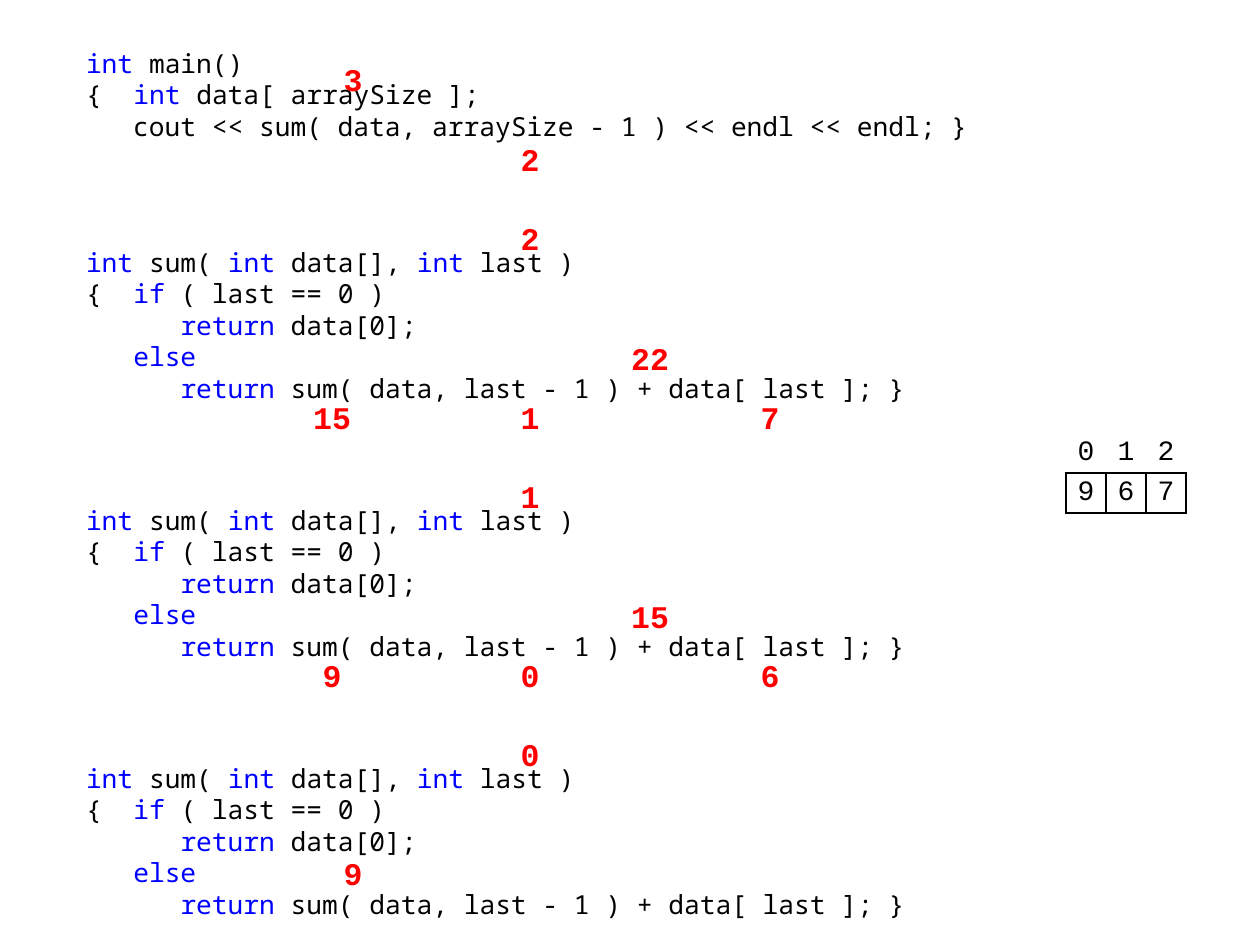
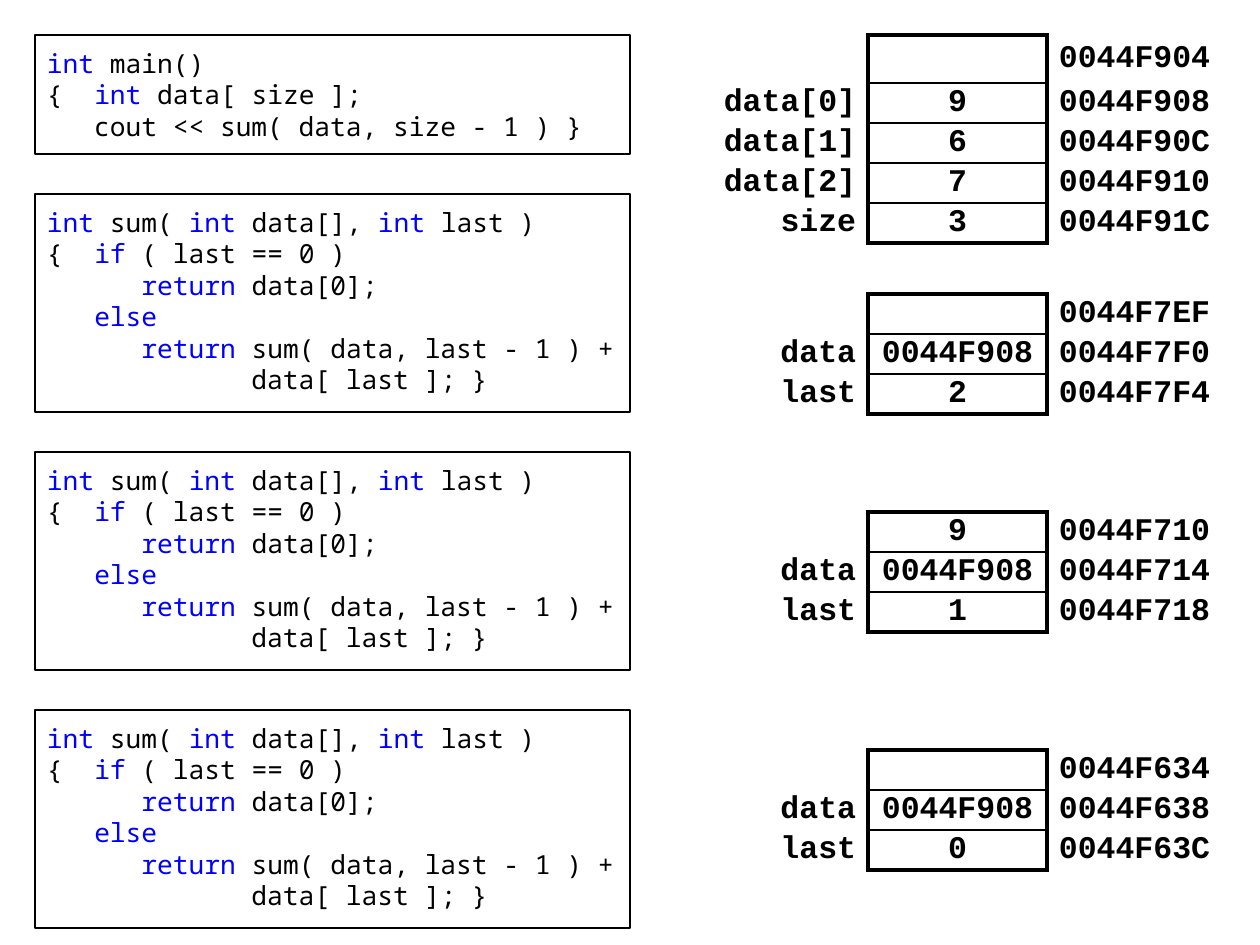
from dataclasses import dataclass

from lxml import etree
from pptx import Presentation
from pptx.dml.color import RGBColor
from pptx.enum.text import MSO_ANCHOR, PP_ALIGN
from pptx.oxml.ns import qn
from pptx.util import Emu, Pt

LEFT, MID, RIGHT = PP_ALIGN.LEFT, PP_ALIGN.CENTER, PP_ALIGN.RIGHT
TOP, CENTER = MSO_ANCHOR.TOP, MSO_ANCHOR.MIDDLE


@dataclass(frozen=True)
class Theme:
    ink: str = "000000"
    key: str = "0000FF"
    mark: str = "FF0000"
    code_font: str = "Noto Sans Mono"
    data_font: str = "Courier New"
    code_size: int = 15
    code_pitch: int = 18
    data_size: int = 18
    cell_size: int = 16
    thin: float = 1
    line: float = 1.5
    thick: float = 2.25
    pad: int = 12


THEME = Theme()
PITCH = 258  # from one call of sum() to the next
SUM = [
    "`int` sum( `int` data[], `int` last )",
    "{  `if` ( last == 0 )",
    "      `return` data[0];",
    "   `else`",
]
LONG_SUM = SUM + ["      `return` sum( data, last - 1 ) + data[ last ]; }"]
SPLIT_SUM = SUM + [
    "      `return` sum( data, last - 1 ) +",
    "             data[ last ]; }",
]
LONG_MAIN = [
    "`int` main()",
    "{  `int` data[ arraySize ];",
    "   cout << sum( data, arraySize - 1 ) << endl << endl; }",
]
SHORT_MAIN = [
    "`int` main()",
    "{  `int` data[ size ];",
    "   cout << sum( data, size - 1 ) }",
]


def px(n):
    return Emu(round(n * 914400 / 126))


def assign(item, **values):
    for name, value in values.items():
        setattr(item, name, value)


def add_run(para, text, font, size, color, bold=False):
    run = para.add_run()
    run.text = text
    assign(run.font, name=font, size=Pt(size), bold=bold)
    run.font.color.rgb = RGBColor.from_string(color)


def add_box(slide, box, pad_x, pad_y, wrap):
    shape = slide.shapes.add_textbox(*map(px, box))
    assign(shape.text_frame, word_wrap=wrap, vertical_anchor=TOP,
           margin_left=px(pad_x), margin_right=px(pad_x),
           margin_top=px(pad_y), margin_bottom=0)
    return shape


def add_code(slide, box, lines, framed=False):
    """Show code lines; words between backticks are keywords."""
    shape = add_box(slide, box, THEME.pad, THEME.pad, True)
    if framed:
        shape.line.color.rgb = RGBColor.from_string(THEME.ink)
        shape.line.width = Pt(THEME.line)
    frame = shape.text_frame
    for row, line in enumerate(lines):
        para = frame.add_paragraph() if row else frame.paragraphs[0]
        para.line_spacing = Pt(THEME.code_pitch)
        for i, part in enumerate(line.split("`")):
            if part:
                add_run(para, part, THEME.code_font, THEME.code_size,
                        THEME.key if i % 2 else THEME.ink)


def add_mark(slide, x, y, text):
    """Centre a red value on x, with its top at y."""
    width = 40 * len(text)
    shape = add_box(slide, (x - width // 2, y, width, 40), 0, 5, False)
    para = shape.text_frame.paragraphs[0]
    para.alignment = MID
    add_run(para, text, THEME.data_font, THEME.data_size, THEME.mark, True)


def set_edges(cell, edges):
    """Draw the sides given as widths in points and clear the others."""
    props = cell._tc.get_or_add_tcPr()
    for side in "LRTB":
        width = edges.get(side, 0)
        line = etree.SubElement(props, qn("a:ln" + side), w=str(Pt(width)))
        if width:
            fill = etree.SubElement(line, qn("a:solidFill"))
            etree.SubElement(fill, qn("a:srgbClr"), val=THEME.ink)
        else:
            etree.SubElement(line, qn("a:noFill"))
    cell.fill.background()


def add_grid(slide, x, y, widths, heights):
    box = (x, y, sum(widths), sum(heights))
    table = slide.shapes.add_table(
        len(heights), len(widths), *map(px, box)).table
    assign(table, first_row=False, horz_banding=False)
    for col, width in zip(table.columns, widths):
        col.width = px(width)
    for row, height in zip(table.rows, heights):
        row.height = px(height)
    return table


def fill_cell(cell, text, align, size, pad, edges, bold=False):
    assign(cell, vertical_anchor=CENTER, margin_top=0, margin_bottom=0,
           margin_left=px(pad), margin_right=px(pad))
    para = cell.text_frame.paragraphs[0]
    para.alignment = align
    if text:
        add_run(para, text, THEME.data_font, size, THEME.ink, bold)
    set_edges(cell, edges)


def add_array(slide, x, y, values):
    """Show the values in boxes below their indexes."""
    table = add_grid(slide, x, y, [40] * len(values), [40, 40])
    for col, value in enumerate(values):
        fill_cell(table.cell(0, col), str(col), MID, THEME.cell_size, 0,
                  {"B": THEME.line})
        fill_cell(table.cell(1, col), value, MID, THEME.cell_size, 0,
                  dict.fromkeys("LRTB", THEME.line))


def add_memory(slide, x, y, label, rows, first=40):
    """Show rows of name, value and address; x is where values start."""
    heights = [first] + [40] * (len(rows) - 1)
    table = add_grid(slide, x - label, y, [label, 179, 179], heights)
    thick, thin = THEME.thick, THEME.thin
    last = len(rows) - 1
    for r, row in enumerate(rows):
        frame = {"L": thick, "R": thick,
                 "T": thin if r else thick,
                 "B": thin if r < last else thick}
        looks = (RIGHT, {"R": thick}), (MID, frame), (LEFT, {"L": thick})
        for c, (text, (align, edges)) in enumerate(zip(row, looks)):
            fill_cell(table.cell(r, c), text, align, THEME.data_size,
                      THEME.pad, edges, True)


def add_trace(slide):
    """Show each call with the values passed and returned."""
    add_code(slide, (74, 35, 914, 118), LONG_MAIN)
    add_mark(slide, 353, 55, "3")
    add_mark(slide, 530, 135, "2")
    calls = [("2", "22", "15", "1", "7"), ("1", "15", "9", "0", "6")]
    for i in range(3):
        add_code(slide, (74, 234 + i * PITCH, 914, 179), LONG_SUM)
    for i, (last, total, rest, less, item) in enumerate(calls):
        top = 234 + i * PITCH
        for x, y, text in ((530, -20, last), (650, 100, total),
                           (332, 159, rest), (530, 159, less),
                           (770, 159, item)):
            add_mark(slide, x, top + y, text)
    base = 234 + len(calls) * PITCH
    add_mark(slide, 530, base - 20, "0")
    add_mark(slide, 353, base + 99, "9")
    add_array(slide, 1066, 433, "967")


def add_stack(slide):
    """Show each call beside its stack memory."""
    add_code(slide, (35, 35, 595, 119), SHORT_MAIN, True)
    for i in range(3):
        add_code(slide, (35, 194 + i * PITCH, 595, 218), SPLIT_SUM, True)
    add_memory(slide, 868, 35, 159, [
        ("", "", "0044F904"),
        ("data[0]", "9", "0044F908"),
        ("data[1]", "6", "0044F90C"),
        ("data[2]", "7", "0044F910"),
        ("size", "3", "0044F91C"),
    ], first=48)
    frames = [
        (294, "", "2", ("0044F7EF", "0044F7F0", "0044F7F4")),
        (512, "9", "1", ("0044F710", "0044F714", "0044F718")),
        (750, "", "0", ("0044F634", "0044F638", "0044F63C")),
    ]
    for top, result, last, places in frames:
        values = (result, "0044F908", last)
        add_memory(slide, 868, top, 118,
                   list(zip(("", "data", "last"), values, places)))


def main():
    deck = Presentation()
    assign(deck, slide_width=px(1260), slide_height=px(945))
    for build in (add_trace, add_stack):
        build(deck.slides.add_slide(deck.slide_layouts[6]))
    deck.save("out.pptx")


if __name__ == "__main__":
    main()
